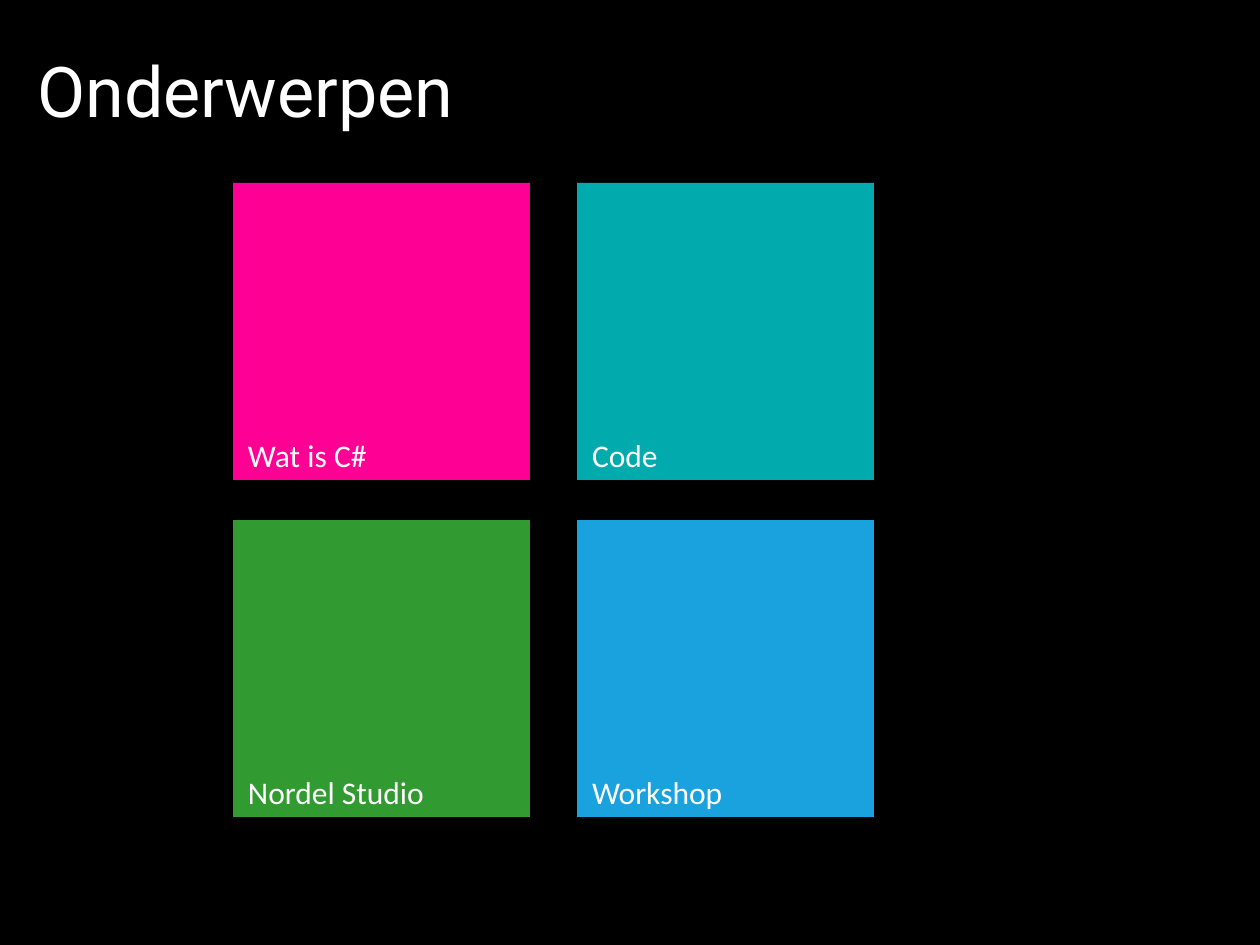
from dataclasses import dataclass

from pptx import Presentation
from pptx import util as u
from pptx.dml.color import RGBColor
from pptx.enum import shapes, text


@dataclass(frozen=True)
class Theme:
    background: str = "000000"
    ink: str = "FFFFFF"
    pink: str = "FF0094"
    teal: str = "00AAAD"
    green: str = "319A31"
    blue: str = "19A2DE"
    title_font: str = "Roboto"
    tile_font: str = "Calibri"
    title_size: int = 40
    tile_size: int = 18


def px(n):
    return round(n * u.Inches(1) / 126)


def apply(obj, values):
    for name, value in values.items():
        setattr(obj, name, value)


class Deck:
    def __init__(self, theme, width, height):
        self.theme = theme
        self.prs = Presentation()
        apply(self.prs, {"slide_width": px(width), "slide_height": px(height)})

    def slide(self):
        self.s = self.prs.slides.add_slide(self.prs.slide_layouts[5])
        self.paint(self.s.background.fill, self.theme.background)

    def paint(self, fill, color):
        fill.solid()
        fill.fore_color.rgb = RGBColor.from_string(color)

    def label(self, tf, words, font, size, **frame):
        apply(tf, {"word_wrap": True, "auto_size": text.MSO_AUTO_SIZE.NONE, **frame})
        p = tf.paragraphs[0]
        p.alignment = text.PP_ALIGN.LEFT
        r = p.add_run()
        r.text = words
        apply(r.font, {"name": font, "size": u.Pt(size)})
        r.font.color.rgb = RGBColor.from_string(self.theme.ink)

    def title(self, words, left, top, width, height):
        sp = self.s.shapes.title
        apply(sp, {"left": px(left), "top": px(top),
                   "width": px(width), "height": px(height)})
        self.label(sp.text_frame, words, self.theme.title_font,
                   self.theme.title_size, vertical_anchor=text.MSO_ANCHOR.MIDDLE)

    def tile(self, words, color, left, top, side):
        sp = self.s.shapes.add_shape(shapes.MSO_SHAPE.RECTANGLE,
                                     px(left), px(top), px(side), px(side))
        sp.shadow.inherit = False
        sp.line.fill.background()
        self.paint(sp.fill, color)
        self.label(sp.text_frame, words, self.theme.tile_font, self.theme.tile_size,
                   vertical_anchor=text.MSO_ANCHOR.BOTTOM,
                   margin_left=px(15), margin_top=px(5),
                   margin_right=px(13), margin_bottom=px(6))


def main():
    theme = Theme()
    deck = Deck(theme, 1260, 945)
    deck.slide()
    deck.title("Onderwerpen", 25, 45, 1134, 89)

    left, top, side, column_step, row_step = 233, 183, 297, 344, 337
    topics = [
        [("Wat is C#", theme.pink), ("Code", theme.teal)],
        [("Nordel Studio", theme.green), ("Workshop", theme.blue)],
    ]
    for row, line in enumerate(topics):
        for column, (words, color) in enumerate(line):
            deck.tile(words, color, left + column * column_step,
                      top + row * row_step, side)

    deck.prs.save("out.pptx")


if __name__ == "__main__":
    main()
